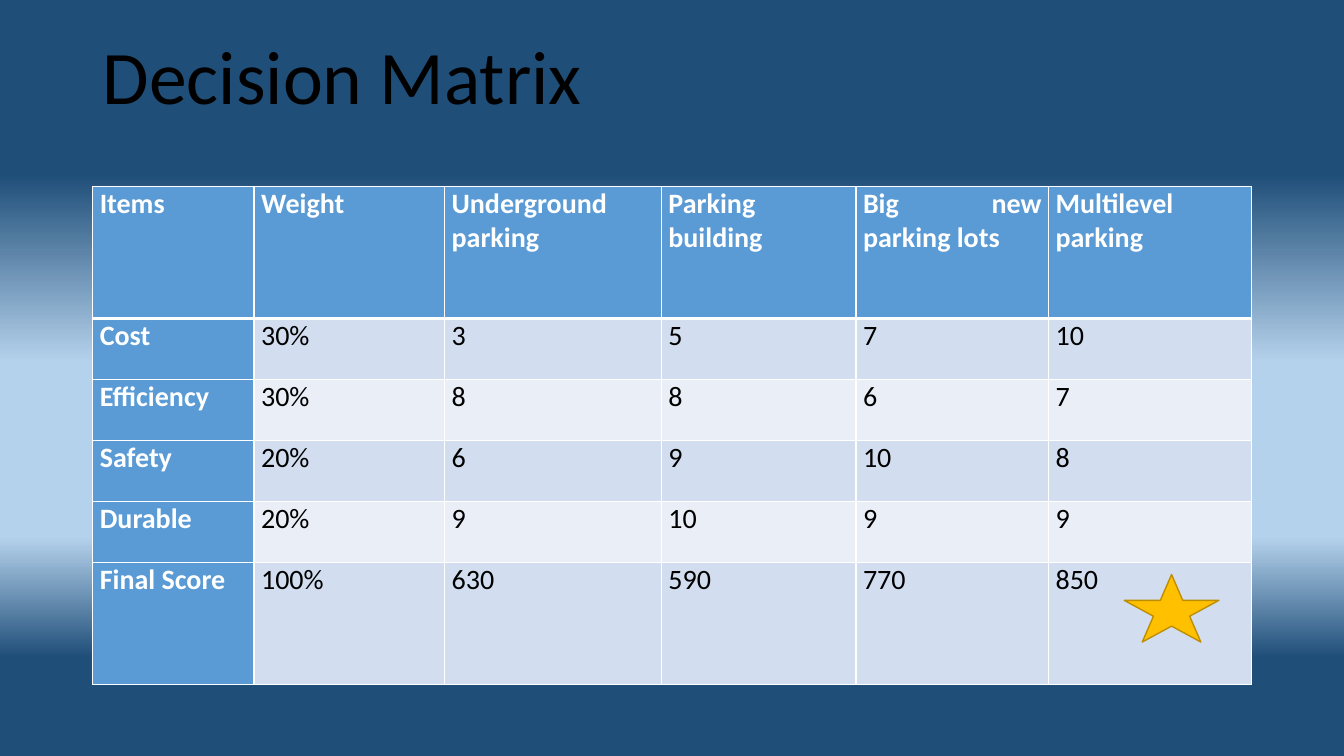
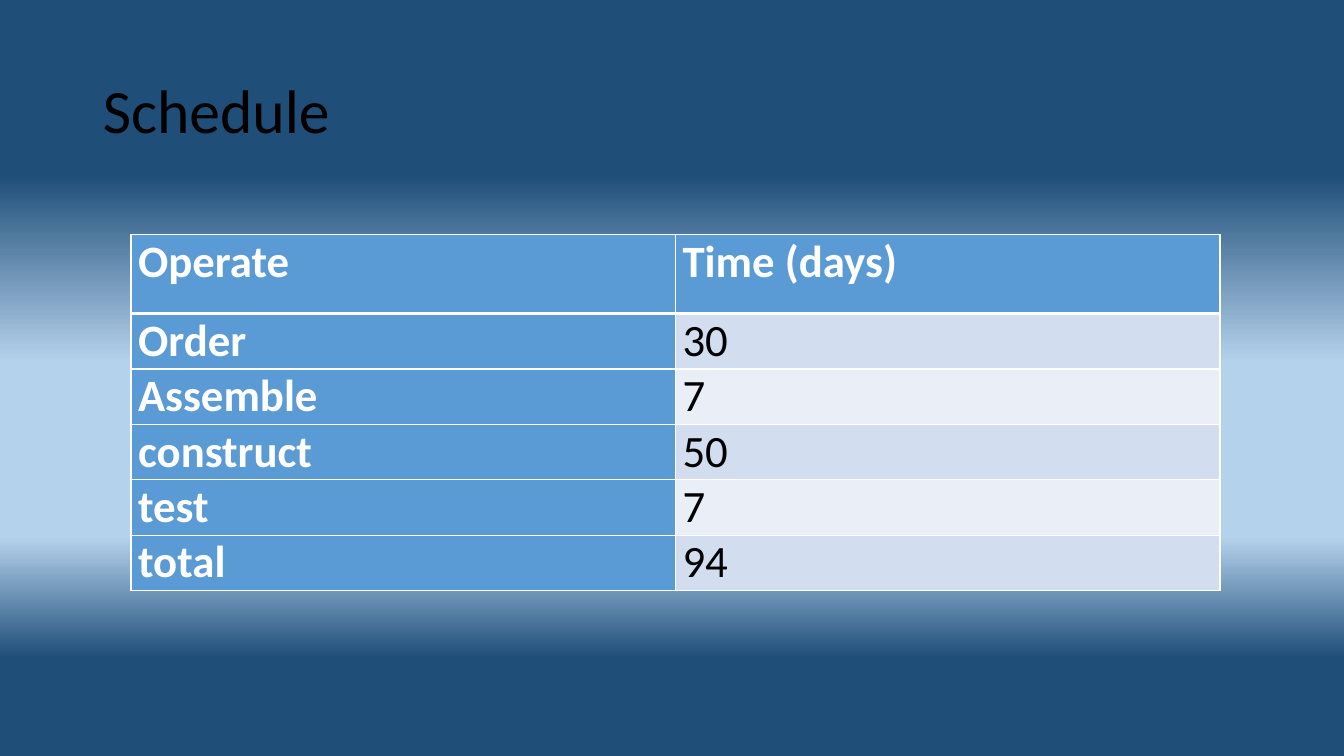
from lxml.etree import SubElement
from pptx import Presentation
from pptx.dml.color import RGBColor
from pptx.enum.shapes import MSO_SHAPE
from pptx.enum.text import MSO_ANCHOR, MSO_AUTO_SIZE, PP_ALIGN
from pptx.oxml.ns import qn
from pptx.util import Inches, Pt

FONT = "Calibri"
BLACK, WHITE = "000000", "FFFFFF"
HEADER = "5B9BD5"
BANDS = ("D2DEEF", "EAEFF7")
STAR_FILL, STAR_LINE = "FFC000", "BD8E00"
BACKDROP = [(23, "1F4E79"), (48, "B5D2EC"), (71, "B5D2EC"), (87, "1F4E79")]

DECISION = {
    "title": "Decision Matrix",
    "title_size": 54,
    "title_lift": 0.67,
    "corner": (0.92, 1.85),
    "columns": [1.6, 1.89, 2.15, 1.93, 1.91, 2.01],
    "rows": [1.31] + [0.605] * 4 + [1.21],
    "text_size": 20,
    "cells": [
        ("Items", "Weight", "Underground parking", "Parking building",
         "Big new parking lots", "Multilevel parking"),
        ("Cost", "30%", "3", "5", "7", "10"),
        ("Efficiency", "30%", "8", "8", "6", "7"),
        ("Safety", "20%", "6", "9", "10", "8"),
        ("Durable", "20%", "9", "10", "9", "9"),
        ("Final Score", "100%", "630", "590", "770", "850"),
    ],
}
SCHEDULE = {
    "title": "Schedule",
    "title_size": 44,
    "title_lift": 0,
    "corner": (1.3, 2.33),
    "columns": [5.4] * 2,
    "rows": [0.78] + [0.55] * 5,
    "text_size": 32,
    "cells": [
        ("Operate", "Time (days)"),
        ("Order", "30"),
        ("Assemble", "7"),
        ("construct", "50"),
        ("test", "7"),
        ("total", "94"),
    ],
}
WINNER_STAR = (11.15, 5.7, 0.94, 0.67)


def color(value):
    return RGBColor.from_string(value)


def add_color(parent, value):
    SubElement(parent, qn("a:srgbClr"), val=value)


def paint_backdrop(master):
    fill = master.background.fill
    fill.gradient()
    fill.gradient_angle = 270
    stops = fill.gradient_stops[0]._gs.getparent()
    for stop in list(stops):
        stops.remove(stop)
    for percent, value in BACKDROP:
        add_color(SubElement(stops, qn("a:gs"), pos=str(percent * 1000)), value)


def style_text(paragraph, size, value, bold, align):
    paragraph.alignment = align
    font = paragraph.font
    font.name, font.size, font.bold = FONT, Pt(size), bold
    font.color.rgb = color(value)


def set_borders(cell, top, bottom):
    properties = cell._tc.get_or_add_tcPr()
    for side, width in (("L", 1), ("R", 1), ("T", top), ("B", bottom)):
        line = SubElement(properties, qn(f"a:ln{side}"), w=str(Pt(width)))
        add_color(SubElement(line, qn("a:solidFill")), WHITE)


def fill_cell(cell, text, row, column, size):
    heading = row == 0 or column == 0
    set_borders(cell, top=3 if row == 1 else 1, bottom=3 if row == 0 else 1)
    cell.fill.solid()
    cell.fill.fore_color.rgb = color(HEADER if heading else BANDS[(row - 1) % 2])
    cell.margin_left = cell.margin_right = Inches(0.07)
    cell.margin_top = cell.margin_bottom = 0
    cell.text = text
    style_text(cell.text_frame.paragraphs[0], size, WHITE if heading else BLACK,
               heading, PP_ALIGN.JUSTIFY)


def add_title(slide, content):
    title = slide.shapes.title
    title.left, title.top, title.width, title.height = map(Inches, (0.92, 0.4, 11.5, 1.45))
    frame = title.text_frame
    frame.text = content["title"]
    frame.auto_size = MSO_AUTO_SIZE.NONE
    frame.vertical_anchor = MSO_ANCHOR.MIDDLE
    frame.margin_bottom = Inches(0.05 + content["title_lift"])
    heading = frame.paragraphs[0]
    heading.line_spacing = 0.9
    style_text(heading, content["title_size"], BLACK, False, PP_ALIGN.LEFT)


def add_grid(slide, content):
    columns, rows = content["columns"], content["rows"]
    extent = (*content["corner"], sum(columns), sum(rows))
    table = slide.shapes.add_table(len(rows), len(columns), *map(Inches, extent)).table
    table.first_col = True
    for column, width in zip(table.columns, columns):
        column.width = Inches(width)
    for r, (height, texts) in enumerate(zip(rows, content["cells"])):
        table.rows[r].height = Inches(height)
        for c, text in enumerate(texts):
            fill_cell(table.cell(r, c), text, r, c, content["text_size"])


def add_star(slide):
    star = slide.shapes.add_shape(MSO_SHAPE.STAR_5_POINT, *map(Inches, WINNER_STAR))
    star.shadow.inherit = False
    star.fill.solid()
    star.fill.fore_color.rgb = color(STAR_FILL)
    star.line.color.rgb = color(STAR_LINE)
    star.line.width = Pt(1)


def add_table_slide(deck, content):
    slide = deck.slides.add_slide(deck.slide_layouts.get_by_name("Title Only"))
    add_title(slide, content)
    add_grid(slide, content)
    return slide


def main():
    deck = Presentation()
    deck.slide_width, deck.slide_height = Inches(13.33), Inches(7.5)
    paint_backdrop(deck.slide_master)
    add_star(add_table_slide(deck, DECISION))
    add_table_slide(deck, SCHEDULE)
    deck.save("out.pptx")


if __name__ == "__main__":
    main()
